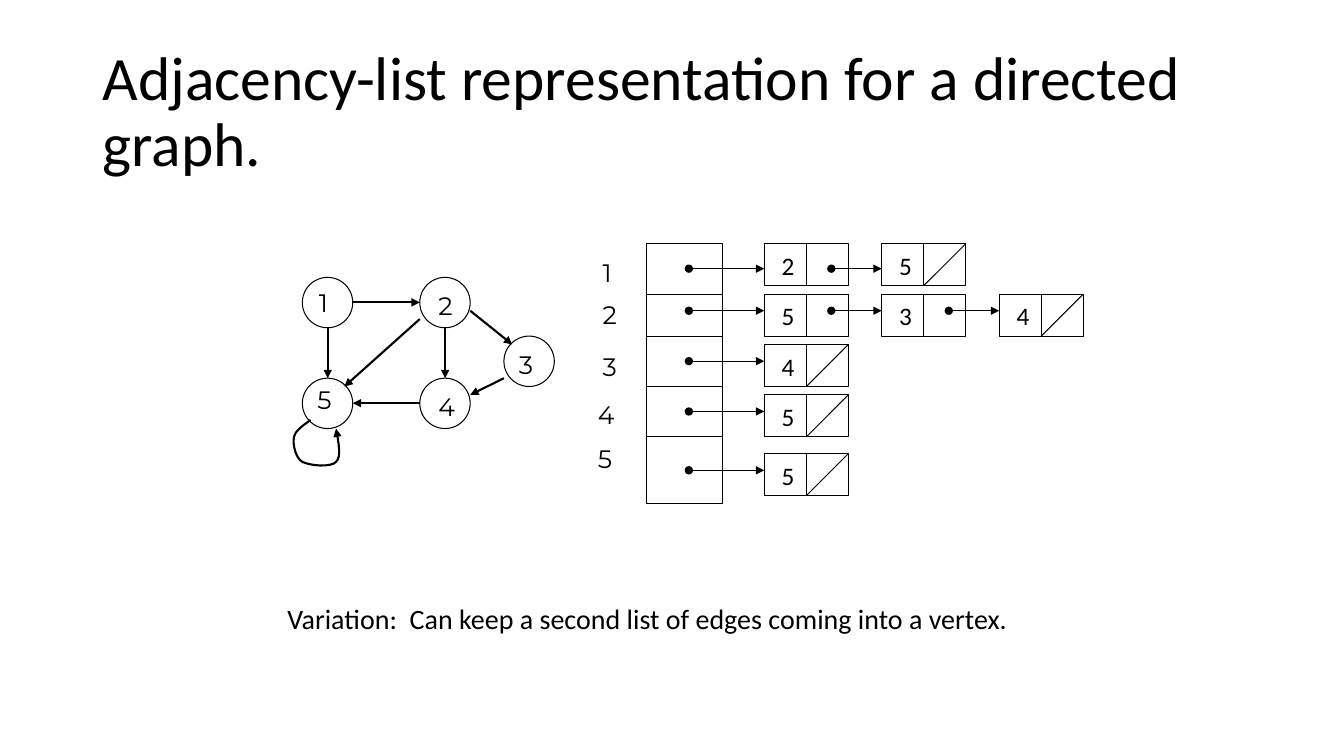
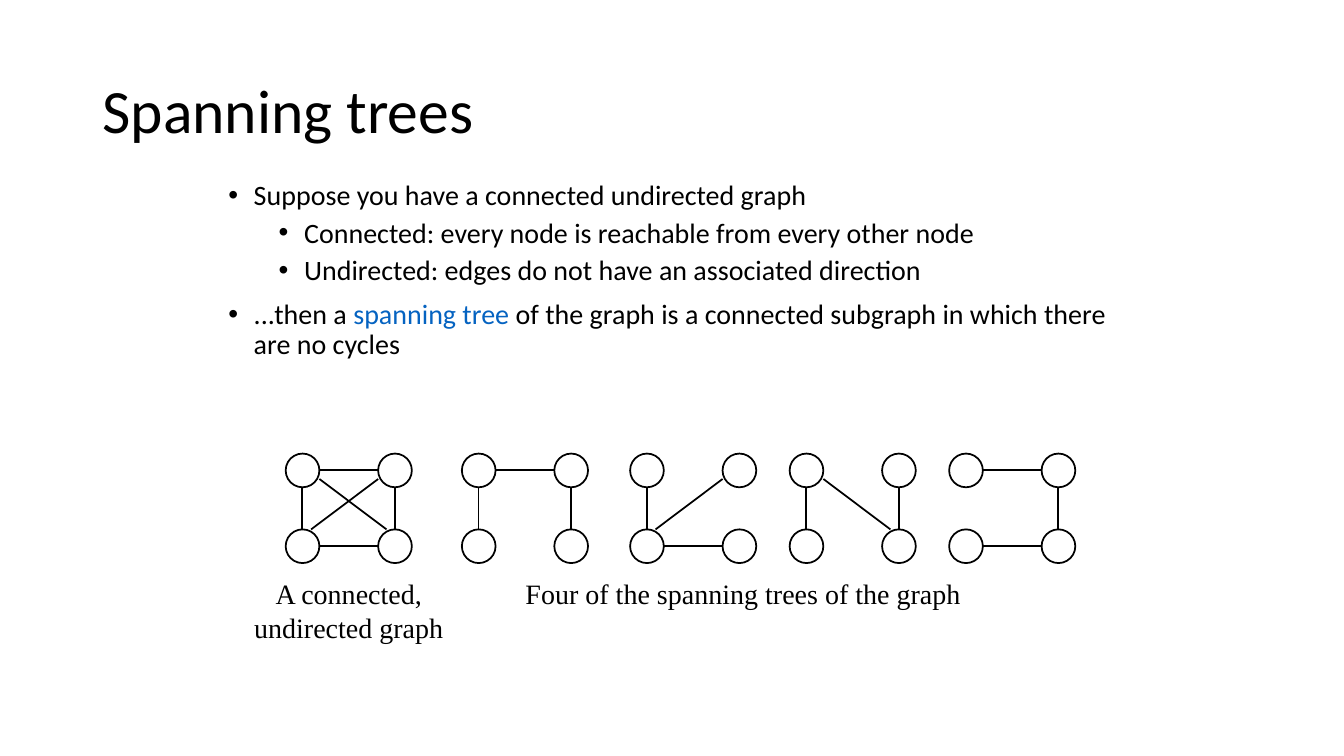
import lxml.etree
import pptx
import pptx.dml.color
import pptx.enum.shapes
import pptx.enum.text
import pptx.oxml.ns
import pptx.util

Cm = pptx.util.Cm
Pt = pptx.util.Pt
qn = pptx.oxml.ns.qn
ShapeKind = pptx.enum.shapes.MSO_SHAPE
Align = pptx.enum.text.PP_ALIGN

BLACK = pptx.dml.color.RGBColor(0x00, 0x00, 0x00)
BLUE = pptx.dml.color.RGBColor(0x05, 0x63, 0xC1)
BODY_FONT = "Calibri"
LABEL_FONT = "Montserrat"
CAPTION_FONT = "Times New Roman"

TITLE_ONLY = 5
TITLE_AND_BODY = 1

VERTEX_SIZE = 1.27
VERTICES = {
    "1": (7.62, 6.99),
    "2": (10.58, 6.99),
    "3": (12.7, 8.47),
    "4": (10.58, 9.53),
    "5": (7.62, 9.53),
}
VERTEX_LABELS = {
    "1": (7.79, 7.11),
    "2": (10.8, 7.2),
    "3": (12.83, 8.68),
    "4": (10.8, 9.74),
    "5": (7.75, 9.57),
}
DIRECTED_EDGES = [
    ((8.89, 7.62), (10.58, 7.62)),
    ((8.26, 8.26), (8.26, 9.53)),
    ((10.58, 8.04), (8.68, 9.74)),
    ((11.22, 8.26), (11.22, 9.53)),
    ((11.85, 7.83), (12.91, 8.68)),
    ((12.7, 9.53), (11.85, 9.95)),
    ((10.58, 10.16), (8.89, 10.16)),
]
LOOP_START = (8.47, 10.8)
LOOP_CURVES = [
    ((8.53, 11.15), (8.61, 11.51), (8.47, 11.64)),
    ((8.33, 11.79), (7.8, 11.73), (7.62, 11.64)),
    ((7.44, 11.53), (7.37, 11.18), (7.41, 11.01)),
    ((7.44, 10.82), (7.77, 10.64), (7.83, 10.58)),
]

ARRAY_LEFT, ARRAY_TOP, ARRAY_WIDTH, ARRAY_HEIGHT = 16.3, 6.14, 1.91, 6.56
ARRAY_DIVIDERS = [7.41, 8.47, 9.74, 11.01]
ARRAY_DOT = 17.36
CELL_LEFT, CELL_STEP, CELL_WIDTH, CELL_HEIGHT = 19.26, 2.96, 2.12, 1.06
CELL_DOT = 1.69
ADJACENCY_ROWS = [
    ("1", (14.94, 6.35), 6.14, 6.77, "25"),
    ("2", (14.94, 7.41), 7.41, 7.83, "534"),
    ("3", (14.94, 8.72), 8.68, 9.1, "4"),
    ("4", (14.82, 9.95), 9.95, 10.37, "5"),
    ("5", (14.82, 11.05), 11.43, 11.85, "5"),
]

NODE_SIZE, NODE_MIDDLE = 0.85, 0.42
COLUMN_STEP, ROW_STEP = 2.33, 1.91
GRAPH_TOP = 11.43
GRAPH_EDGES = {
    "left": ((NODE_MIDDLE, NODE_SIZE), (NODE_MIDDLE, ROW_STEP)),
    "right": ((COLUMN_STEP + NODE_MIDDLE, NODE_SIZE), (COLUMN_STEP + NODE_MIDDLE, ROW_STEP)),
    "top": ((NODE_SIZE, NODE_MIDDLE), (COLUMN_STEP, NODE_MIDDLE)),
    "bottom": ((NODE_SIZE, ROW_STEP + NODE_MIDDLE), (COLUMN_STEP, ROW_STEP + NODE_MIDDLE)),
    "rising": ((0.64, ROW_STEP), (COLUMN_STEP, 0.64)),
    "falling": ((NODE_SIZE, 0.64), (2.54, ROW_STEP)),
}
SPANNING_TREES = [
    (11.64, ["left", "right", "top"]),
    (15.88, ["left", "bottom", "rising"]),
    (19.9, ["left", "right", "falling"]),
    (23.92, ["right", "top", "bottom"]),
]

BULLETS = [
    (0, [("Suppose you have a connected undirected graph", BLACK)]),
    (1, [("Connected: every node is reachable from every other node", BLACK)]),
    (1, [("Undirected: edges do not have an associated direction", BLACK)]),
    (0, [
        ("...then a ", BLACK),
        ("spanning tree", BLUE),
        (" of the graph is a connected subgraph in which there are no cycles", BLACK),
    ]),
]


def write(para, text, size=20, font=BODY_FONT, color=BLACK):
    for index, line in enumerate(text.split("\n")):
        if index:
            para.add_line_break()
        span = para.add_run()
        span.text = line
        span.font.size = Pt(size)
        span.font.name = font
        span.font.color.rgb = color


def place(shape, left, top, width, height):
    shape.left, shape.top = Cm(left), Cm(top)
    shape.width, shape.height = Cm(width), Cm(height)


def add_text(shapes, text, left, top, width, height, wrap=False, align=Align.LEFT, **style):
    box = shapes.add_textbox(Cm(left), Cm(top), Cm(width), Cm(height))
    box.text_frame.word_wrap = wrap
    para = box.text_frame.paragraphs[0]
    para.alignment = align
    write(para, text, **style)


def set_line(shape, width, head=None, tail=None):
    shape.line.color.rgb = BLACK
    shape.line.width = Pt(width)
    outline = shape._element.spPr.find(qn("a:ln"))
    for tag, kind in (("a:headEnd", head), ("a:tailEnd", tail)):
        if kind:
            lxml.etree.SubElement(outline, qn(tag), type=kind)


def add_outline(shapes, kind, left, top, width, height, line_width=0.75):
    shape = shapes.add_shape(kind, Cm(left), Cm(top), Cm(width), Cm(height))
    shape.shadow.inherit = False
    shape.fill.background()
    set_line(shape, line_width)


def add_line(shapes, start, end, width=0.75, head=None, tail=None):
    line = shapes.add_connector(
        pptx.enum.shapes.MSO_CONNECTOR.STRAIGHT,
        Cm(start[0]), Cm(start[1]), Cm(end[0]), Cm(end[1]),
    )
    set_line(line, width, head, tail)
    lxml.etree.SubElement(line._element.spPr, qn("a:effectLst"))


def curve_points(start, curves, steps=8):
    points = []
    for first, second, end in curves:
        for step in range(1, steps + 1):
            t = step / steps
            u = 1 - t
            points.append(tuple(
                Cm(u**3 * a + 3 * u * u * t * b + 3 * u * t * t * c + t**3 * d)
                for a, b, c, d in zip(start, first, second, end)
            ))
        start = end
    return points


def add_loop(shapes):
    builder = shapes.build_freeform(Cm(LOOP_START[0]), Cm(LOOP_START[1]))
    builder.add_line_segments(curve_points(LOOP_START, LOOP_CURVES), close=False)
    loop = builder.convert_to_shape()
    loop.shadow.inherit = False
    loop.fill.background()
    set_line(loop, 1.5, head="triangle")


def add_page(deck, layout, title):
    page = deck.slides.add_slide(deck.slide_layouts[layout])
    box = page.shapes.title
    place(box, 2.33, 1.02, 29.21, 3.68)
    frame = box.text_frame
    frame.vertical_anchor = pptx.enum.text.MSO_ANCHOR.MIDDLE
    frame.auto_size = pptx.enum.text.MSO_AUTO_SIZE.NONE
    para = frame.paragraphs[0]
    para.alignment = Align.LEFT
    para.line_spacing = 0.9
    write(para, title, size=44)
    return page


def add_label(shapes, text, position):
    add_text(shapes, text, *position, 0.94, 1.02, size=18, font=LABEL_FONT)


def add_directed_graph(shapes):
    for name, position in VERTICES.items():
        add_outline(shapes, ShapeKind.OVAL, *position, VERTEX_SIZE, VERTEX_SIZE)
        add_label(shapes, name, VERTEX_LABELS[name])
    for start, end in DIRECTED_EDGES:
        add_line(shapes, start, end, width=1.5, tail="triangle")
    add_loop(shapes)


def add_cell(shapes, text, left, top, last):
    middle, bottom = left + CELL_WIDTH / 2, top + CELL_HEIGHT
    add_outline(shapes, ShapeKind.RECTANGLE, left, top, CELL_WIDTH, CELL_HEIGHT)
    add_line(shapes, (middle, top), (middle, bottom))
    add_text(shapes, text, left + 0.19, top + 0.04, 0.86, 1.02, size=18)
    if last:
        add_line(shapes, (middle, bottom), (left + CELL_WIDTH, top))


def add_adjacency_list(shapes):
    add_outline(shapes, ShapeKind.RECTANGLE, ARRAY_LEFT, ARRAY_TOP, ARRAY_WIDTH, ARRAY_HEIGHT)
    for y in ARRAY_DIVIDERS:
        add_line(shapes, (ARRAY_LEFT, y), (ARRAY_LEFT + ARRAY_WIDTH, y))
    for name, position, top, arrow_y, neighbours in ADJACENCY_ROWS:
        add_label(shapes, name, position)
        dot = ARRAY_DOT
        for index, neighbour in enumerate(neighbours):
            left = CELL_LEFT + index * CELL_STEP
            add_cell(shapes, neighbour, left, top, index == len(neighbours) - 1)
            add_line(shapes, (dot, arrow_y), (left, arrow_y), head="oval", tail="triangle")
            dot = left + CELL_DOT


def add_square_graph(shapes, left, edges):
    for column in range(2):
        for row in range(2):
            add_outline(
                shapes, ShapeKind.OVAL, left + column * COLUMN_STEP, GRAPH_TOP + row * ROW_STEP,
                NODE_SIZE, NODE_SIZE, line_width=1.25,
            )
    for edge in edges:
        start, end = [(left + x, GRAPH_TOP + y) for x, y in GRAPH_EDGES[edge]]
        add_line(shapes, start, end, width=1.25)


def add_captioned_graphs(page, graphs, caption, *area):
    shapes = page.shapes.add_group_shape().shapes
    for left, edges in graphs:
        add_square_graph(shapes, left, edges)
    add_text(shapes, caption, *area, wrap=True, align=Align.CENTER, font=CAPTION_FONT)


def fill_bullets(body, bullets):
    frame = body.text_frame
    frame.auto_size = pptx.enum.text.MSO_AUTO_SIZE.NONE
    for index, (level, spans) in enumerate(bullets):
        para = frame.add_paragraph() if index else frame.paragraphs[0]
        para.level = level
        para.line_spacing = 0.9
        para.space_before = Pt(5 if level else 10)
        properties = para._p.get_or_add_pPr()
        properties.set("marL", str(Cm(0.64 + 1.27 * level)))
        properties.set("indent", str(Cm(-0.64)))
        lxml.etree.SubElement(properties, qn("a:buFont"), typeface="Arial")
        lxml.etree.SubElement(properties, qn("a:buChar"), char="•")
        for text, color in spans:
            write(para, text, color=color)


def add_adjacency_page(deck):
    page = add_page(deck, TITLE_ONLY, "Adjacency-list representation for a directed graph.")
    add_directed_graph(page.shapes)
    add_adjacency_list(page.shapes)
    add_text(
        page.shapes, "Variation:  Can keep a second list of edges coming into a vertex.",
        6.99, 15.03, 20.6, 1.1,
    )


def add_spanning_page(deck):
    page = add_page(deck, TITLE_AND_BODY, "Spanning trees")
    body = page.placeholders[1]
    place(body, 5.5, 4.45, 22.86, 5.87)
    fill_bullets(body, BULLETS)
    add_captioned_graphs(
        page, [(7.2, GRAPH_EDGES)], "A connected,\nundirected graph", 5.93, 14.4, 5.72, 1.96,
    )
    add_captioned_graphs(
        page, SPANNING_TREES, "Four of the spanning trees of the graph", 11.64, 14.4, 14.18, 1.1,
    )


def main():
    deck = pptx.Presentation()
    deck.slide_width, deck.slide_height = Cm(33.87), Cm(19.05)
    add_adjacency_page(deck)
    add_spanning_page(deck)
    deck.save("out.pptx")


main()
